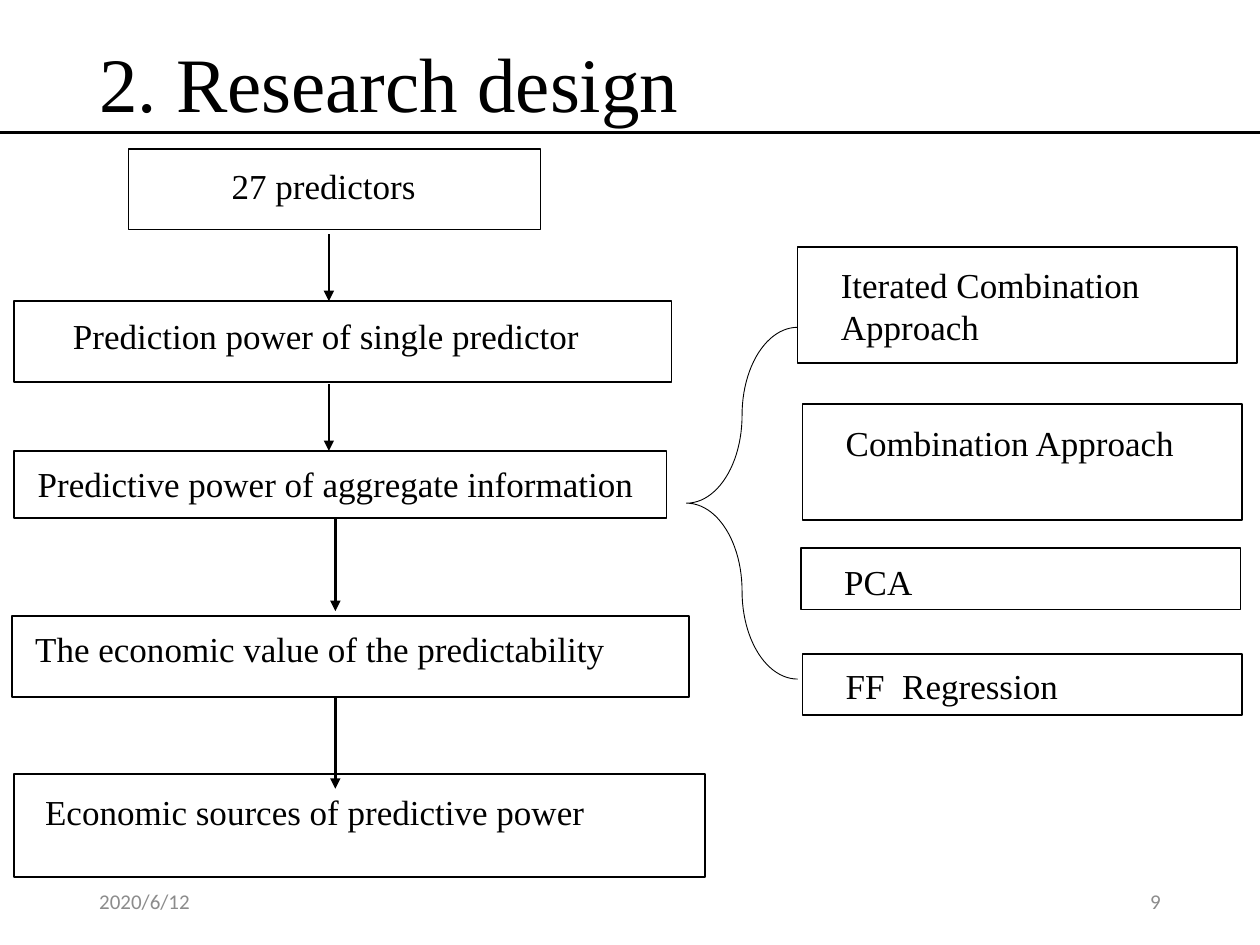
from lxml.etree import SubElement
from pptx import Presentation
from pptx.dml.color import RGBColor
from pptx.enum.shapes import MSO_CONNECTOR, MSO_SHAPE
from pptx.enum.text import MSO_ANCHOR, MSO_AUTO_SIZE, PP_ALIGN
from pptx.oxml.ns import qn
from pptx.util import Cm, Pt

BLACK = RGBColor(0x00, 0x00, 0x00)
GRAY = RGBColor(0x8C, 0x8C, 0x8C)
SERIF = "Times New Roman"
SANS = "Calibri"

SINGLE_X, AGGREGATE_X = 6.63, 6.76
METHOD_WIDTH, METHOD_TEXT_WIDTH = 8.86, 7.72

STEPS = [
    ("27 predictors", (2.59, 3.0, 8.31, 1.63), (4.42, 3.2, 6.15, 1.12)),
    ("Prediction power of single predictor",
     (0.28, 6.07, 13.26, 1.63), (1.22, 6.22, 11.53, 1.12)),
    ("Predictive power of aggregate information",
     (0.28, 9.09, 13.16, 1.35), (0.51, 9.19, 13.28, 0.56)),
    ("The economic value of the predictability",
     (0.25, 12.42, 13.64, 1.63), (0.46, 12.52, 13.77, 1.12)),
    ("Economic sources of predictive power",
     (0.28, 15.6, 13.94, 2.08), (0.66, 15.82, 13.56, 1.17)),
]
METHODS = [
    ("Iterated Combination Approach", 16.08, 4.98, 2.34, 5.18, 1.96),
    ("Combination Approach", 16.18, 8.15, 2.34, 8.38, 1.12),
    ("PCA", 16.15, 11.05, 1.24, 11.18, 0.58),
    ("FF  Regression", 16.18, 13.18, 1.24, 13.28, 1.12),
]
ARROWS = [
    (SINGLE_X, 4.72, 6.07),
    (SINGLE_X, 7.75, 9.09),
    (AGGREGATE_X, 10.46, 12.32),
    (AGGREGATE_X, 14.05, 15.9),
]


class FlowSlide:
    def __init__(self, slide):
        self.shapes = slide.shapes

    def text(self, wording, bounds, size=20, font=SERIF, color=BLACK,
             align=PP_ALIGN.LEFT, anchor=MSO_ANCHOR.TOP, spacing=None,
             grow=False, parent=None):
        label = (parent or self.shapes).add_textbox(*map(Cm, bounds))
        frame = label.text_frame
        frame.text = wording
        frame.word_wrap = True
        frame.vertical_anchor = anchor
        if grow:
            frame.auto_size = MSO_AUTO_SIZE.SHAPE_TO_FIT_TEXT
        paragraph = frame.paragraphs[0]
        paragraph.alignment = align
        paragraph.line_spacing = spacing
        run_font = paragraph.runs[0].font
        run_font.name = font
        run_font.size = Pt(size)
        run_font.color.rgb = color

    def outline(self, preset, bounds, weight, parent=None):
        shape = (parent or self.shapes).add_shape(preset, *map(Cm, bounds))
        shape.shadow.inherit = False
        shape.fill.background()
        shape.line.color.rgb = BLACK
        shape.line.width = Pt(weight)
        return shape

    def box(self, wording, frame_bounds, text_bounds):
        group = self.shapes.add_group_shape().shapes
        self.outline(MSO_SHAPE.RECTANGLE, frame_bounds, 1, group)
        self.text(wording, text_bounds, grow=True, parent=group)

    def brace(self, bounds, curve):
        brace = self.outline(MSO_SHAPE.LEFT_BRACE, bounds, 0.5)
        brace.adjustments[0] = curve
        brace.adjustments[1] = 0.5

    def line(self, x1, y1, x2, y2, arrow=False):
        connector = self.shapes.add_connector(
            MSO_CONNECTOR.STRAIGHT, Cm(x1), Cm(y1), Cm(x2), Cm(y2))
        connector.line.color.rgb = BLACK
        connector.line.width = Pt(1.5)
        if arrow:
            SubElement(connector.line._get_or_add_ln(), qn("a:tailEnd"),
                       type="triangle")
        SubElement(connector._element.spPr, qn("a:effectLst"))


def main():
    presentation = Presentation()
    presentation.slide_width = Cm(25.4)
    presentation.slide_height = Cm(19.05)
    page = FlowSlide(presentation.slides.add_slide(presentation.slide_layouts[6]))

    footer = dict(size=12, font=SANS, color=GRAY, anchor=MSO_ANCHOR.MIDDLE)
    page.text("2020/6/12", (1.75, 17.65, 5.72, 1.02), **footer)
    page.text("9", (17.93, 17.65, 5.72, 1.02), align=PP_ALIGN.RIGHT, **footer)
    page.text("2. Research design", (1.75, 0.81, 21.9, 1.75), size=44, spacing=0.9)
    page.line(0, 2.67, 25.4, 2.67)

    for wording, frame_bounds, text_bounds in STEPS:
        page.box(wording, frame_bounds, text_bounds)
    for x, top, bottom in ARROWS:
        page.line(x, top, x, bottom, arrow=True)

    page.brace((13.84, 6.6, 2.24, 7.09), 0.79)
    for wording, left, top, height, text_top, text_height in METHODS:
        page.box(wording, (left, top, METHOD_WIDTH, height),
                 (left + 0.62, text_top, METHOD_TEXT_WIDTH, text_height))

    presentation.save("out.pptx")


if __name__ == "__main__":
    main()
